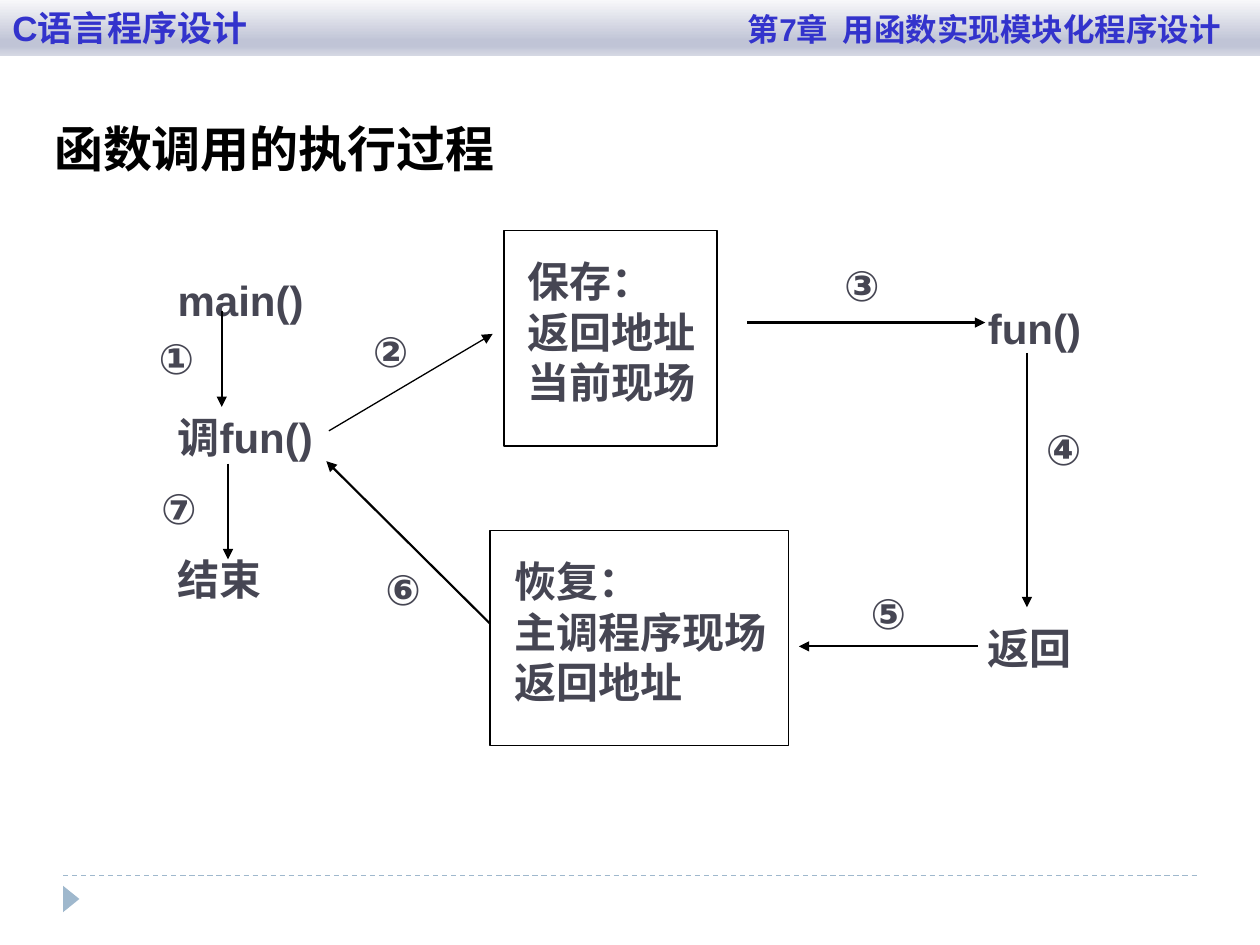
from dataclasses import dataclass

from lxml import etree
from pptx import Presentation
from pptx.dml.color import RGBColor
from pptx.enum.dml import MSO_LINE
from pptx.enum.shapes import MSO_CONNECTOR, MSO_SHAPE
from pptx.enum.text import MSO_ANCHOR, MSO_AUTO_SIZE, PP_ALIGN
from pptx.oxml.ns import qn
from pptx.util import Inches, Pt

RECTANGLE, TRIANGLE = MSO_SHAPE.RECTANGLE, MSO_SHAPE.ISOSCELES_TRIANGLE
STRAIGHT, DASH = MSO_CONNECTOR.STRAIGHT, MSO_LINE.DASH
TOP, MIDDLE, BOTTOM = MSO_ANCHOR.TOP, MSO_ANCHOR.MIDDLE, MSO_ANCHOR.BOTTOM
LEFT, NO_AUTOFIT = PP_ALIGN.LEFT, MSO_AUTO_SIZE.NONE

WIDTH, HEIGHT = 10, 7.5
COLORS = {"ink": "464653", "line": "000000", "title": "000000",
          "header": "3333CC", "accent": "9FB8CD"}
HEADER_STOPS = [(0, "F8F8FA"), (74, "C0C4D6"), (83, "C0C4D6"), (100, "D5D8E3")]


@dataclass
class Label:
    """A single-line text, placed by its top left corner."""
    text: str
    left: float
    top: float
    width: float = 0.4


@dataclass
class Step:
    """A numbered arrow between two points."""
    start: tuple[float, float]
    end: tuple[float, float]
    number: Label
    weight: float = 1.25


@dataclass
class Box:
    """A framed list of lines."""
    lines: list[str]
    left: float
    top: float
    width: float
    height: float = 1.71


NODES = [
    Label("main()", 1.41, 2.18, 1.4),
    Label("调fun()", 1.41, 3.27, 1.4),
    Label("结束", 1.41, 4.39, 1.4),
    Label("fun()", 7.84, 2.4, 1.1),
    Label("返回", 7.84, 4.94, 1.1),
]
STEPS = [
    Step((1.76, 2.47), (1.76, 3.23), Label("①", 1.26, 2.64)),
    Step((2.61, 3.42), (3.91, 2.65), Label("②", 2.96, 2.58), 0.75),
    Step((5.93, 2.56), (7.82, 2.56), Label("③", 6.7, 2.06)),
    Step((8.15, 2.8), (8.15, 4.82), Label("④", 8.3, 3.36)),
    Step((7.76, 5.13), (6.34, 5.13), Label("⑤", 6.91, 4.66)),
    Step((3.89, 4.95), (2.59, 3.66), Label("⑥", 3.06, 4.47)),
    Step((1.81, 3.68), (1.81, 4.44), Label("⑦", 1.28, 3.83)),
]
BOXES = [
    Box(["保存：", "返回地址", "当前现场"], 4, 1.83, 1.69),
    Box(["恢复：", "主调程序现场", "返回地址"], 3.89, 4.21, 2.37),
]


def rgb(name: str) -> RGBColor:
    """Look up a palette colour."""
    return RGBColor.from_string(COLORS[name])


def set_font(font, size: float, color: str) -> None:
    """Apply the bold slide font."""
    font.name, font.size, font.bold = "Arial", Pt(size), True
    font.color.rgb = rgb(color)


def set_margins(frame, left: float, top: float, right: float, bottom: float) -> None:
    """Set text insets in inches."""
    frame.margin_left, frame.margin_top = Inches(left), Inches(top)
    frame.margin_right, frame.margin_bottom = Inches(right), Inches(bottom)


def fill_lines(frame, lines: list[str], anchor=TOP) -> None:
    """Write diagram text, one paragraph per line."""
    frame.vertical_anchor = anchor
    frame.text = "\n".join(lines)
    for paragraph in frame.paragraphs:
        paragraph.alignment = LEFT
        set_font(paragraph.font, 24, "ink")


def add_label(slide, label: Label) -> None:
    """Add an unframed text."""
    frame = slide.shapes.add_textbox(Inches(label.left), Inches(label.top),
                                     Inches(label.width), Inches(0.5)).text_frame
    frame.word_wrap = True
    set_margins(frame, 0, 0, 0, 0)
    fill_lines(frame, [label.text])


def add_line(slide, start, end, color: str, weight: float):
    """Add a straight line without shadow."""
    line = slide.shapes.add_connector(STRAIGHT, *map(Inches, (*start, *end)))
    line.line.color.rgb, line.line.width = rgb(color), Pt(weight)
    etree.SubElement(line._element.spPr, qn("a:effectLst"))
    return line


def add_step(slide, step: Step) -> None:
    """Add an arrow and its number."""
    arrow = add_line(slide, step.start, step.end, "line", step.weight)
    etree.SubElement(arrow.line._get_or_add_ln(), qn("a:tailEnd"), type="triangle")
    add_label(slide, step.number)


def add_plain(slide, kind, left: float, top: float, width: float, height: float):
    """Add a shape without shadow, fill or outline."""
    shape = slide.shapes.add_shape(kind, *map(Inches, (left, top, width, height)))
    shape.shadow.inherit = False
    shape.fill.background()
    shape.line.fill.background()
    return shape


def add_box(slide, box: Box) -> None:
    """Add a framed list."""
    frame_shape = add_plain(slide, RECTANGLE, box.left, box.top, box.width, box.height)
    frame_shape.line.color.rgb = rgb("line")
    frame_shape.line.width = Pt(0.75)
    set_margins(frame_shape.text_frame, 0.19, 0.2, 0, 0)
    fill_lines(frame_shape.text_frame, box.lines)


def add_header(slide) -> None:
    """Add the gradient band with course and chapter at its two ends."""
    band = add_plain(slide, RECTANGLE, 0, 0, WIDTH, 0.44)
    band.fill.gradient()
    band.fill.gradient_angle = 270
    stops = band._element.spPr.find(".//" + qn("a:gsLst"))
    for old in list(stops):
        stops.remove(old)
    for position, color in HEADER_STOPS:
        stop = etree.SubElement(stops, qn("a:gs"), pos=str(position * 1000))
        etree.SubElement(stop, qn("a:srgbClr"), val=color)
    frame = band.text_frame
    frame.vertical_anchor = MIDDLE
    set_margins(frame, 0.1, 0, 0.1, 0)
    paragraph = frame.paragraphs[0]
    paragraph.alignment = LEFT
    tabs = etree.SubElement(paragraph._p.get_or_add_pPr(), qn("a:tabLst"))
    etree.SubElement(tabs, qn("a:tab"), pos=str(Inches(9.59)), algn="r")
    for text, size in (("C语言程序设计\t", 20), ("第7章  用函数实现模块化程序设计", 18)):
        run = paragraph.add_run()
        run.text = text
        set_font(run.font, size, "header")


def set_title(slide, text: str) -> None:
    """Fill and place the title placeholder."""
    title = slide.shapes.title
    title.left, title.top = Inches(0.33), Inches(0.96)
    title.width, title.height = Inches(4.34), Inches(0.5)
    frame = title.text_frame
    frame.text = text
    frame.auto_size, frame.vertical_anchor = NO_AUTOFIT, BOTTOM
    set_margins(frame, 0.1, 0.05, 0.1, 0.05)
    frame.paragraphs[0].alignment = LEFT
    set_font(frame.paragraphs[0].font, 28, "title")


def add_footer(slide) -> None:
    """Add the dashed rule and the page marker."""
    rule = add_line(slide, (0.05 * WIDTH, 6.95), (0.95 * WIDTH, 6.95), "accent", 0.75)
    rule.line.dash_style = DASH
    marker = add_plain(slide, TRIANGLE, 0.46, 7.07, 0.21, 0.13)
    marker.rotation = 90
    marker.fill.solid()
    marker.fill.fore_color.rgb = rgb("accent")


deck = Presentation()
deck.slide_width, deck.slide_height = Inches(WIDTH), Inches(HEIGHT)
slide = deck.slides.add_slide(deck.slide_layouts[5])
add_footer(slide)
for node in NODES:
    add_label(slide, node)
for box in BOXES:
    add_box(slide, box)
for step in STEPS:
    add_step(slide, step)
set_title(slide, "函数调用的执行过程")
add_header(slide)
deck.save("out.pptx")
